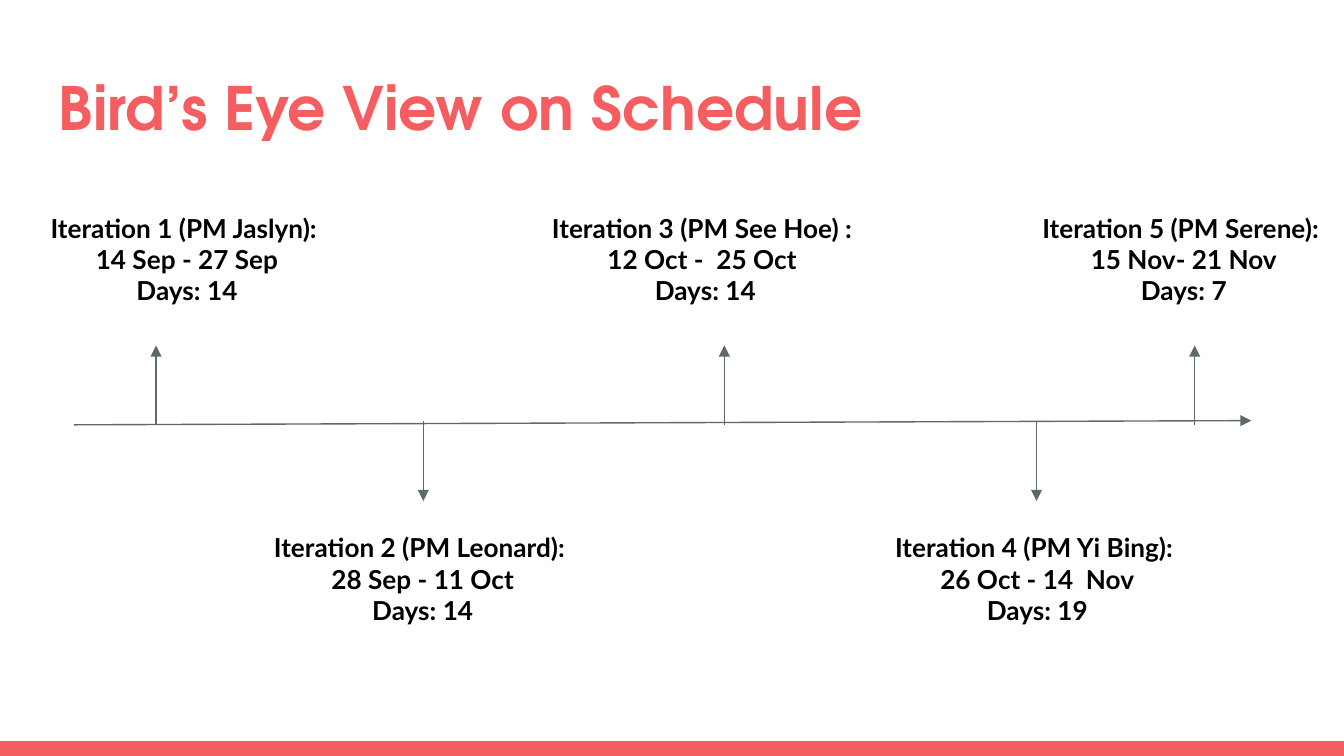
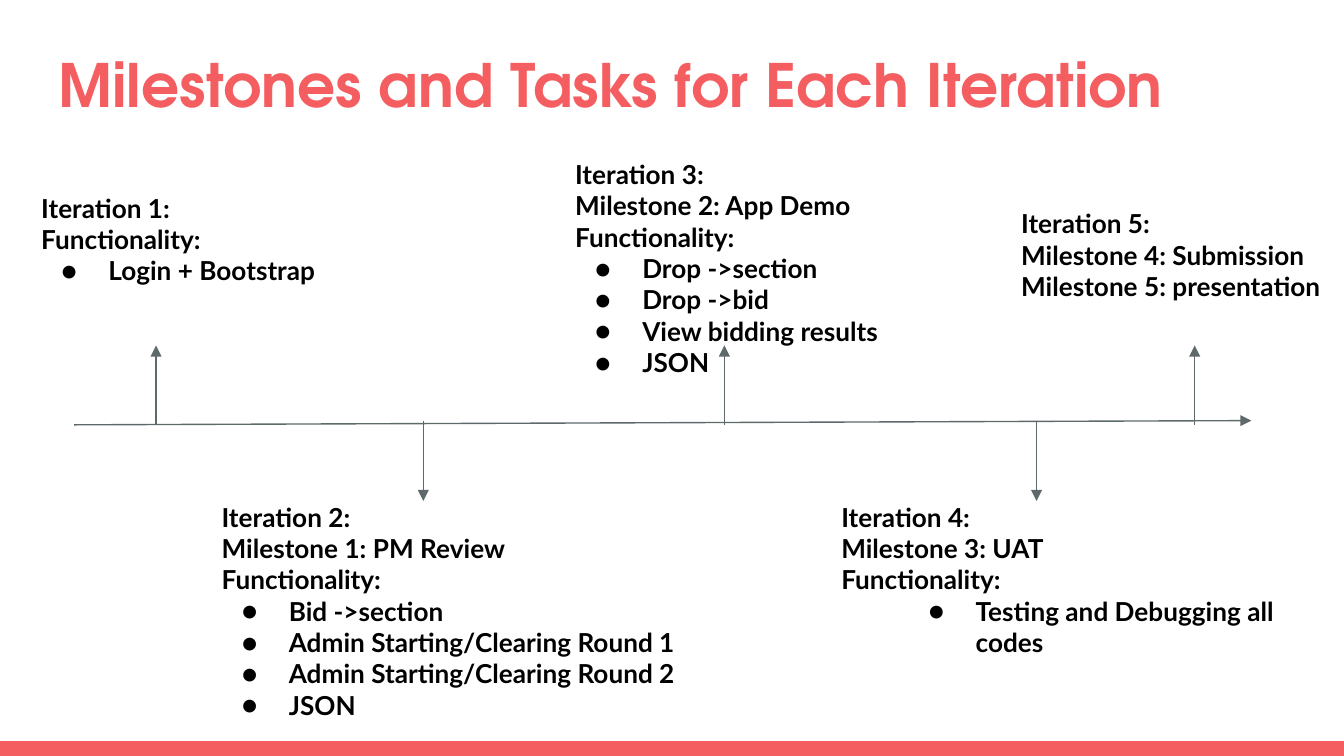
from dataclasses import dataclass

import lxml.etree
import pptx
import pptx.dml.color
import pptx.enum.shapes
import pptx.enum.text
import pptx.oxml.ns
import pptx.util

Cm = pptx.util.Cm
Pt = pptx.util.Pt
RGB = pptx.dml.color.RGBColor
qn = pptx.oxml.ns.qn
Align = pptx.enum.text.PP_ALIGN


@dataclass(frozen=True)
class Theme:
    accent: RGB = RGB(0xF5, 0x5E, 0x61)
    line: RGB = RGB(0x5E, 0x69, 0x6C)
    ink: RGB = RGB(0, 0, 0)
    title_font: str = "TeX Gyre Adventor"
    body_font: str = "Lato"
    title_size: int = 32
    body_size: int = 14
    line_width: float = 0.75


@dataclass(frozen=True)
class Note:
    left: float
    top: float
    width: float
    lines: tuple[str, ...]
    tasks: tuple[str, ...] = ()
    indent: float = 1.27


@dataclass(frozen=True)
class TimelineSlide:
    title: str
    title_top: float
    align: Align
    notes: tuple[Note, ...]


THEME = Theme()
WIDTH, HEIGHT = 25.4, 14.29
BAND_TOP = 14.01
INSET = 0.25
HANGING = 0.89
NOTE_HEIGHT = 2.59
AXIS_LEFT, AXIS_RIGHT = 1.4, 23.65
AXIS_LOW, AXIS_HIGH = 8.03, 7.95
UP_TIP, DOWN_TIP = 6.53, 9.47
ITERATION_X = (2.95, 8.0, 13.69, 19.59, 22.58)
POINTS_UP = (True, False, True, False, True)
ABOVE, BELOW = 3.76, 9.8

SLIDES = (
    TimelineSlide("Bird’s Eye View on Schedule", 1.09, Align.CENTER, (
        Note(0.51, ABOVE, 6.05,
             ("Iteration 1 (PM Jaslyn): ", "14 Sep - 27 Sep", "Days: 14")),
        Note(2.44, BELOW, 11.1,
             ("Iteration 2 (PM Leonard): ", "28 Sep - 11 Oct", "Days: 14")),
        Note(9.8, ABOVE, 7.06,
             ("Iteration 3 (PM See Hoe) : ", "12 Oct -  25 Oct ", "Days: 14")),
        Note(14.88, BELOW, 9.45,
             ("Iteration 4 (PM Yi Bing): ", "26 Oct - 14  Nov", "Days: 19")),
        Note(19.35, ABOVE, 6.05,
             ("Iteration 5 (PM Serene): ", "15 Nov- 21 Nov", "Days: 7")),
    )),
    TimelineSlide("Milestones and Tasks for Each Iteration", 0.66, Align.LEFT, (
        Note(0.53, 3.38, 6.05, ("Iteration 1:", "Functionality:"),
             ("Login + Bootstrap",)),
        Note(3.94, 9.22, 11.1,
             ("Iteration 2:", "Milestone 1: PM Review", "Functionality:"),
             ("Bid ->section", "Admin Starting/Clearing Round 1",
              "Admin Starting/Clearing Round 2", "JSON")),
        Note(10.62, 2.74, 7.06,
             ("Iteration 3:", "Milestone 2: App Demo", "Functionality:"),
             ("Drop ->section", "Drop ->bid", "View bidding results", "JSON")),
        Note(15.65, 9.22, 9.45,
             ("Iteration 4:", "Milestone 3: UAT", "Functionality:"),
             ("Testing and Debugging all codes",), 2.54),
        Note(19.05, 3.68, 7.52,
             ("Iteration 5:", "Milestone 4: Submission",
              "Milestone 5: presentation")),
    )),
)


def add_text(s, left: float, top: float, width: float, height: float,
             lines: tuple[str, ...], font: str, size: int, color: RGB,
             align: Align = Align.LEFT):
    sp = s.shapes.add_textbox(Cm(left), Cm(top), Cm(width), Cm(height))
    tf = sp.text_frame
    tf.word_wrap = True
    tf.margin_left = tf.margin_right = Cm(INSET)
    tf.margin_top = tf.margin_bottom = Cm(INSET)
    tf.text = "\n".join(lines)
    for p in tf.paragraphs:
        p.alignment = align
        for r in p.runs:
            r.font.name = font
            r.font.size = Pt(size)
            r.font.bold = True
            r.font.color.rgb = color
    return tf


def add_bullet(p, indent: float) -> None:
    pPr = p._p.get_or_add_pPr()
    pPr.set("marL", str(Cm(indent)))
    pPr.set("indent", str(-Cm(HANGING)))
    clr = lxml.etree.SubElement(pPr, qn("a:buClr"))
    lxml.etree.SubElement(clr, qn("a:srgbClr"), val=str(THEME.ink))
    lxml.etree.SubElement(pPr, qn("a:buFont"), typeface=THEME.body_font)
    lxml.etree.SubElement(pPr, qn("a:buChar"), char="●")


def add_note(s, note: Note, align: Align) -> None:
    tf = add_text(s, note.left, note.top, note.width, NOTE_HEIGHT,
                  note.lines + note.tasks, THEME.body_font, THEME.body_size,
                  THEME.ink, align)
    for p in tf.paragraphs[len(note.lines):]:
        add_bullet(p, note.indent)


def add_arrow(s, x1: float, y1: float, x2: float, y2: float) -> None:
    sp = s.shapes.add_connector(pptx.enum.shapes.MSO_CONNECTOR.STRAIGHT,
                                Cm(x1), Cm(y1), Cm(x2), Cm(y2))
    sp.line.color.rgb = THEME.line
    sp.line.width = Pt(THEME.line_width)
    lxml.etree.SubElement(sp.get_or_add_ln(), qn("a:tailEnd"), type="triangle")
    lxml.etree.SubElement(sp._element.spPr, qn("a:effectLst"))


def add_band(s) -> None:
    sp = s.shapes.add_shape(pptx.enum.shapes.MSO_SHAPE.RECTANGLE, Cm(0),
                            Cm(BAND_TOP), Cm(WIDTH), Cm(HEIGHT - BAND_TOP))
    sp.shadow.inherit = False
    sp.fill.solid()
    sp.fill.fore_color.rgb = THEME.accent
    sp.line.fill.background()


def add_timeline(s) -> None:
    add_arrow(s, AXIS_LEFT, AXIS_LOW, AXIS_RIGHT, AXIS_HIGH)
    for x, up in zip(ITERATION_X, POINTS_UP):
        start, tip = (AXIS_LOW, UP_TIP) if up else (AXIS_HIGH, DOWN_TIP)
        add_arrow(s, x, start, x, tip)


def add_timeline_slide(prs, content: TimelineSlide) -> None:
    s = prs.slides.add_slide(prs.slide_layouts[6])
    add_band(s)
    add_text(s, 0.86, content.title_top, 23.67, 1.73, (content.title,),
             THEME.title_font, THEME.title_size, THEME.accent)
    add_timeline(s)
    for note in content.notes:
        add_note(s, note, content.align)


def main() -> None:
    prs = pptx.Presentation()
    prs.slide_width, prs.slide_height = Cm(WIDTH), Cm(HEIGHT)
    for content in SLIDES:
        add_timeline_slide(prs, content)
    prs.save("out.pptx")


if __name__ == "__main__":
    main()
